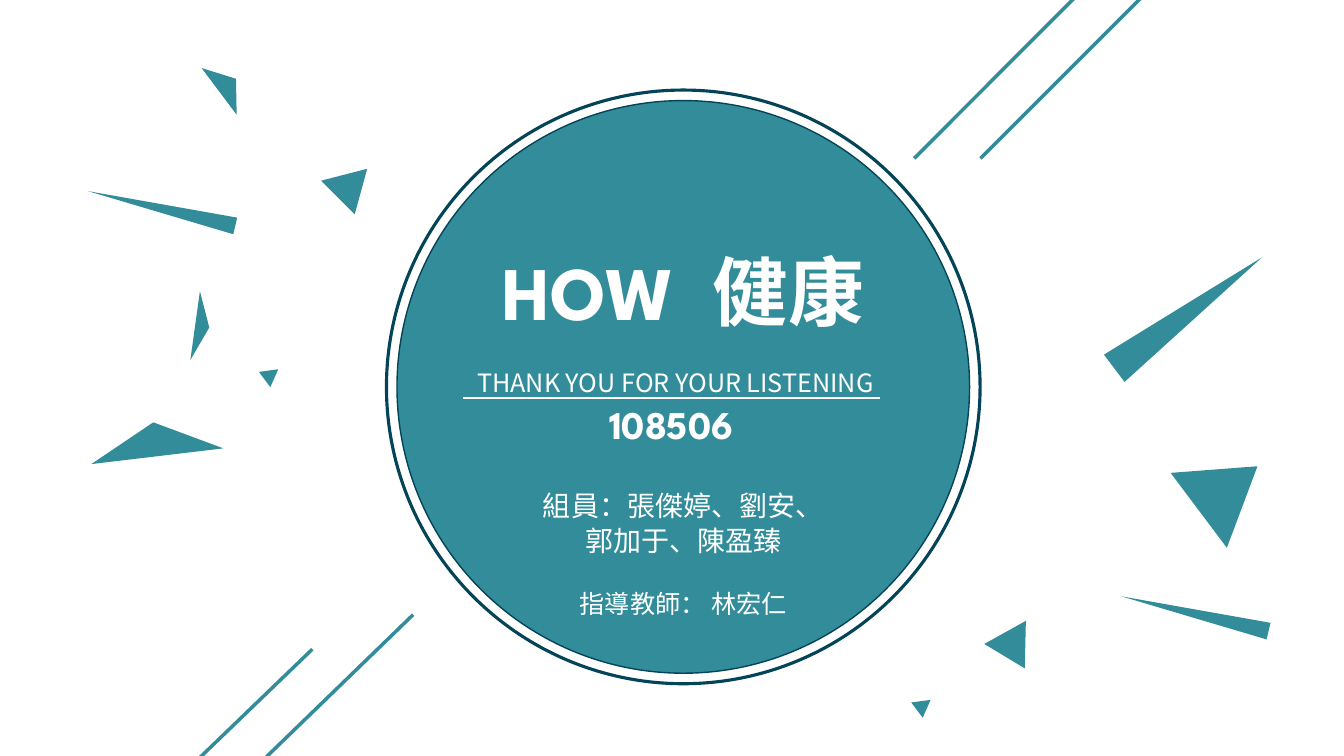
"""Build the closing slide: a teal disc with team credits among scattered triangles."""
from dataclasses import dataclass
from typing import Optional

from lxml.etree import SubElement
from pptx import Presentation
from pptx.dml.color import RGBColor
from pptx.enum.shapes import MSO_CONNECTOR, MSO_SHAPE
from pptx.enum.text import MSO_ANCHOR, MSO_AUTO_SIZE, PP_ALIGN
from pptx.oxml.ns import qn
from pptx.util import Cm, Pt

TEAL = RGBColor(0x32, 0x8C, 0x99)
NAVY = RGBColor(0x04, 0x44, 0x58)
WHITE = RGBColor(0xFF, 0xFF, 0xFF)
HEADING_FONT = "League Spartan"
BODY_FONT = "Noto Sans CJK SC"
DISC_CENTER = (17.22, 9.75)


@dataclass(frozen=True)
class Triangle:
    left: float
    top: float
    width: float
    height: float
    rotation: float = 53.1


@dataclass(frozen=True)
class Circle:
    diameter: float
    line_width: float
    fill: Optional[RGBColor] = None


@dataclass(frozen=True)
class Line:
    start: tuple[float, float]
    end: tuple[float, float]
    color: RGBColor = TEAL
    width: float = 2.5


@dataclass(frozen=True)
class Run:
    text: str
    size: float
    font: str = BODY_FONT
    bold: bool = False
    tracking: float = 0


@dataclass(frozen=True)
class Paragraph:
    runs: tuple[Run, ...]
    line_height: Optional[float] = None
    space_before: float = 0


@dataclass(frozen=True)
class TextBlock:
    left: float
    top: float
    width: float
    height: float
    paragraphs: tuple[Paragraph, ...]
    wrap: bool = True


TRIANGLES = (
    Triangle(2.24, 10.64, 3.35, 0.86, 353.2),
    Triangle(29.77, 11.38, 2.36, 1.85),
    Triangle(6.6, 9.22, 0.48, 0.43),
    Triangle(3.86, 3.35, 0.43, 3.81, 283.3),
    Triangle(8, 4.17, 1.19, 1.04, 285.3),
    Triangle(4.22, 8.05, 1.75, 0.36, 97.9),
    Triangle(24.99, 15.57, 1.19, 1.04, 31.1),
    Triangle(5, 1.88, 1.47, 0.53),
    Triangle(29.51, 5.56, 0.86, 4.65),
    Triangle(23.04, 17.55, 0.48, 0.43),
    Triangle(29.9, 13.56, 0.43, 3.81, 283.3),
)
CIRCLES = (Circle(14.43, 1, TEAL), Circle(14.96, 2.25))
LINES = (
    Line((32.05, -3.35), (24.71, 3.99)),
    Line((29.18, -2.16), (23.04, 3.99)),
    Line((10.41, 15.49), (3.28, 22.4)),
    Line((7.87, 16.36), (1.6, 22.4)),
    Line((11.68, 10.03), (22.17, 10.03), WHITE, 1.5),
)
TITLE = TextBlock(11.99, 5.89, 10.46, 2.57, (
    Paragraph((
        Run("HOW", 54, HEADING_FONT, True),
        Run(" ", 54, HEADING_FONT, True, 13),
        Run("健康", 54, HEADING_FONT, True),
    ), 69),
))
TEXT_BLOCKS = (
    TextBlock(11.2, 9.96, 11.43, 1.45, (
        Paragraph((Run("108506", 28, HEADING_FONT, True),)),
    )),
    TextBlock(12.32, 12.14, 9.8, 3.51, (
        Paragraph((Run("組員：張傑婷、劉安、", 20),), 25),
        Paragraph((Run("郭加于、陳盈臻", 20),), 25),
        Paragraph((Run("指導教師： 林宏仁", 18),), 22, 22),
    )),
    TextBlock(11.38, 9.04, 11.28, 1.02, (
        Paragraph((Run("THANK YOU FOR YOUR LISTENING", 18),), 24),
    ), False),
)


def draw_triangle(slide, triangle: Triangle) -> None:
    """Draw one teal triangle without an outline."""
    shape = slide.shapes.add_shape(
        MSO_SHAPE.ISOSCELES_TRIANGLE, Cm(triangle.left), Cm(triangle.top),
        Cm(triangle.width), Cm(triangle.height))
    shape.rotation = triangle.rotation
    shape.shadow.inherit = False
    shape.fill.solid()
    shape.fill.fore_color.rgb = TEAL
    shape.line.fill.background()


def draw_circle(slide, circle: Circle) -> None:
    """Draw one circle around the shared disc center."""
    left, top = (Cm(center - circle.diameter / 2) for center in DISC_CENTER)
    shape = slide.shapes.add_shape(
        MSO_SHAPE.OVAL, left, top, Cm(circle.diameter), Cm(circle.diameter))
    shape.shadow.inherit = False
    if circle.fill is None:
        shape.fill.background()
    else:
        shape.fill.solid()
        shape.fill.fore_color.rgb = circle.fill
    shape.line.color.rgb = NAVY
    shape.line.width = Pt(circle.line_width)


def draw_line(slide, line: Line) -> None:
    """Draw one straight line without a shadow."""
    connector = slide.shapes.add_connector(
        MSO_CONNECTOR.STRAIGHT, *map(Cm, line.start), *map(Cm, line.end))
    connector.line.color.rgb = line.color
    connector.line.width = Pt(line.width)
    SubElement(connector._element.spPr, qn("a:effectLst"))


def add_run(paragraph, run: Run) -> None:
    """Add one white run with its Latin and East Asian fonts."""
    text_run = paragraph.add_run()
    text_run.text = run.text
    text_run.font.name = run.font
    text_run.font.size = Pt(run.size)
    text_run.font.bold = run.bold
    text_run.font.color.rgb = WHITE
    properties = text_run._r.get_or_add_rPr()
    SubElement(properties, qn("a:ea")).set("typeface", BODY_FONT)
    if run.tracking:
        properties.set("spc", str(round(run.tracking * 100)))


def write_block(shape, block: TextBlock) -> None:
    """Place a text shape and write its centered paragraphs."""
    shape.left, shape.top = Cm(block.left), Cm(block.top)
    shape.width, shape.height = Cm(block.width), Cm(block.height)
    frame = shape.text_frame
    frame.word_wrap = block.wrap
    frame.auto_size = MSO_AUTO_SIZE.NONE
    frame.vertical_anchor = MSO_ANCHOR.TOP
    for index, content in enumerate(block.paragraphs):
        paragraph = frame.add_paragraph() if index else frame.paragraphs[0]
        paragraph.alignment = PP_ALIGN.CENTER
        paragraph.space_before = Pt(content.space_before)
        if content.line_height:
            paragraph.line_spacing = Pt(content.line_height)
        for run in content.runs:
            add_run(paragraph, run)


def main() -> None:
    """Build and save the presentation."""
    presentation = Presentation()
    presentation.slide_width, presentation.slide_height = Cm(33.87), Cm(19.05)
    slide = presentation.slides.add_slide(presentation.slide_layouts[5])
    for triangle in TRIANGLES:
        draw_triangle(slide, triangle)
    for circle in CIRCLES:
        draw_circle(slide, circle)
    for line in LINES:
        draw_line(slide, line)
    title = slide.shapes.title
    slide.shapes._spTree.append(title._element)
    write_block(title, TITLE)
    for block in TEXT_BLOCKS:
        text_box = slide.shapes.add_textbox(0, 0, 0, 0)
        write_block(text_box, block)
    presentation.save("out.pptx")


if __name__ == "__main__":
    main()
